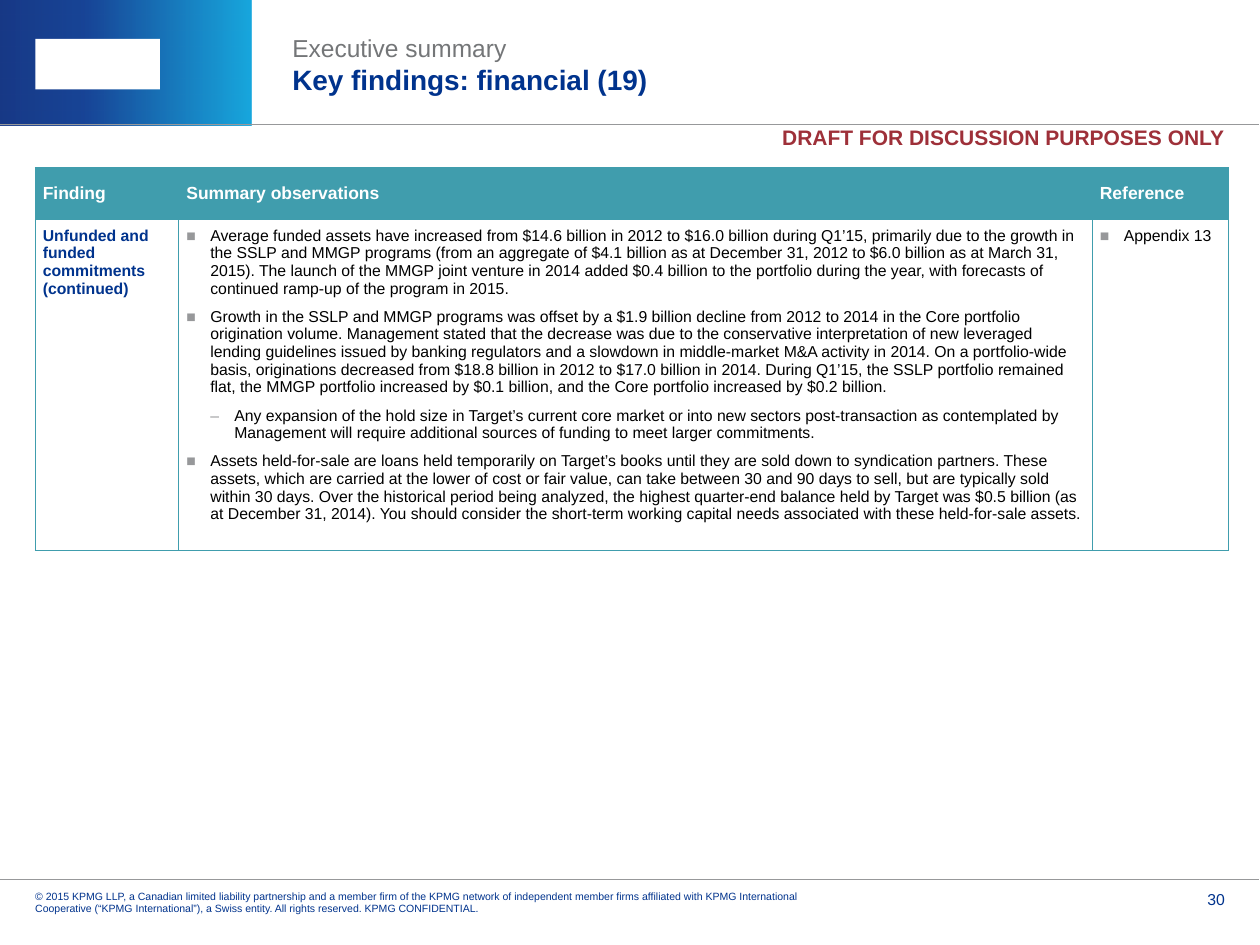
from lxml.etree import SubElement
from pptx import Presentation
from pptx.dml.color import RGBColor
from pptx.enum.shapes import MSO_CONNECTOR as Connector, MSO_SHAPE as Shape
from pptx.enum.text import MSO_ANCHOR as Anchor, PP_ALIGN as Align
from pptx.oxml import parse_xml
from pptx.oxml.ns import nsdecls, qn
from pptx.util import Inches, Pt

NAVY = RGBColor(0x00, 0x33, 0x8D)
DEEP_NAVY = RGBColor(0x00, 0x25, 0x7A)
SKY = RGBColor(0x00, 0x9F, 0xDA)
TEAL = RGBColor(0x40, 0x9D, 0xAD)
GRAY = RGBColor(0x97, 0x98, 0x9A)
DARK_GRAY = RGBColor(0x74, 0x76, 0x78)
RED = RGBColor(0x9E, 0x30, 0x39)
BLACK = RGBColor(0x00, 0x00, 0x00)
WHITE = RGBColor(0xFF, 0xFF, 0xFF)

SECTION_FORMAT = {"size": Pt(14), "color": DARK_GRAY}
TITLE_FORMAT = {"size": Pt(16), "color": NAVY, "bold": True}
DRAFT_FORMAT = {"size": Pt(12), "color": RED, "bold": True}
COPYRIGHT_FORMAT = {"size": Pt(6), "color": NAVY}
NUMBER_FORMAT = {"size": Pt(9), "color": NAVY}
HEADER_FORMAT = {"size": Pt(10), "color": WHITE, "bold": True}
FINDING_FORMAT = {"size": Pt(9), "color": NAVY, "bold": True}
BODY_FORMAT = {"size": Pt(9), "color": BLACK, "bold": False}

HEADER_HEIGHT = 0.99
FOOTER_TOP = 6.98
INDENT = 0.19
SQUARE, DASH = "■", "‒"
COLUMN_WIDTHS = (1.14, 7.25, 1.08)
ROW_HEIGHTS = (0.41, 2.47)
HEADINGS = ("Finding", "Summary observations", "Reference")
FINDING = "Unfunded and funded commitments (continued)"
OBSERVATIONS = [
    (SQUARE, "Average funded assets have increased from $14.6 billion in 2012 to $16.0 billion during Q1’15, primarily due to the growth in the SSLP and MMGP programs (from an aggregate of $4.1 billion as at December 31, 2012 to $6.0 billion as at March 31, 2015). The launch of the MMGP joint venture in 2014 added $0.4 billion to the portfolio during the year, with forecasts of continued ramp-up of the program in 2015."),
    (SQUARE, "Growth in the SSLP and MMGP programs was offset by a $1.9 billion decline from 2012 to 2014 in the Core portfolio origination volume. Management stated that the decrease was due to the conservative interpretation of new leveraged lending guidelines issued by banking regulators and a slowdown in middle-market M&A activity in 2014. On a portfolio-wide basis, originations decreased from $18.8 billion in 2012 to $17.0 billion in 2014. During Q1’15, the SSLP portfolio remained flat, the MMGP portfolio increased by $0.1 billion, and the Core portfolio increased by $0.2 billion."),
    (DASH, "Any expansion of the hold size in Target’s current core market or into new sectors post-transaction as contemplated by Management will require additional sources of funding to meet larger commitments."),
    (SQUARE, "Assets held-for-sale are loans held temporarily on Target’s books until they are sold down to syndication partners. These assets, which are carried at the lower of cost or fair value, can take between 30 and 90 days to sell, but are typically sold within 30 days. Over the historical period being analyzed, the highest quarter-end balance held by Target was $0.5 billion (as at December 31, 2014). You should consider the short-term working capital needs associated with these held-for-sale assets."),
]
REFERENCES = [(SQUARE, "Appendix 13")]
COPYRIGHT = "© 2015 KPMG LLP, a Canadian limited liability partnership and a member firm of the KPMG network of independent member firms affiliated with KPMG International Cooperative (“KPMG International”), a Swiss entity. All rights reserved. KPMG CONFIDENTIAL."


def add_span(para, text, formats):
    span = para.add_run()
    span.text = text
    span.font.name = "Arial"
    for name, value in formats.items():
        if name == "color":
            span.font.color.rgb = value
        else:
            setattr(span.font, name, value)


def add_text(page, place, spans, top_inset=0, anchor=Anchor.TOP, **para_formats):
    box = page.shapes.add_textbox(*map(Inches, place))
    frame = box.text_frame
    settings = {
        "word_wrap": True, "vertical_anchor": anchor,
        "margin_left": 0, "margin_right": 0,
        "margin_top": Inches(top_inset), "margin_bottom": 0,
    }
    for name, value in settings.items():
        setattr(frame, name, value)
    para = frame.paragraphs[0]
    for name, value in para_formats.items():
        setattr(para, name, value)
    for index, (text, formats) in enumerate(spans):
        if index:
            para.add_line_break()
        add_span(para, text, formats)


def add_band(page):
    builder = page.shapes.build_freeform(0, 0, scale=Inches(1))
    builder.add_line_segments([(0, HEADER_HEIGHT), (2.01, HEADER_HEIGHT), (2.3, 0)])
    band = builder.convert_to_shape()
    band.shadow.inherit = False
    band.line.fill.background()
    band.fill.gradient()
    band.fill.gradient_angle = 0
    stops = band.element.spPr.find(".//" + qn("a:gsLst"))
    for stop in list(stops):
        stops.remove(stop)
    for position, color in ((0, DEEP_NAVY), (35, NAVY), (100, SKY)):
        stop = SubElement(stops, qn("a:gs"), pos=str(position * 1000))
        shade = SubElement(stop, qn("a:srgbClr"), val=str(color))
        SubElement(shade, qn("a:alpha"), val="90000")


def add_emblem(page):
    emblem = page.shapes.add_shape(
        Shape.RECTANGLE, *map(Inches, (0.28, 0.31, 0.99, 0.4)))
    emblem.shadow.inherit = False
    emblem.fill.solid()
    emblem.fill.fore_color.rgb = WHITE
    emblem.line.fill.background()


def add_rule(page, top):
    rule = page.shapes.add_connector(
        Connector.STRAIGHT, 0, Inches(top), Inches(9.99), Inches(top))
    rule.line.color.rgb = GRAY
    rule.line.width = Pt(0.5)
    SubElement(rule.element.spPr, qn("a:effectLst"))


def style_cell(cell, color, anchor):
    properties = cell._tc.get_or_add_tcPr()
    for side in "LRTB":
        properties.append(parse_xml(
            f'<a:ln{side} {nsdecls("a")} w="{Pt(0.5)}"><a:solidFill>'
            f'<a:srgbClr val="{TEAL}"/></a:solidFill></a:ln{side}>'))
    cell.fill.solid()
    cell.fill.fore_color.rgb = color
    cell.vertical_anchor = anchor
    for side in ("left", "right", "top", "bottom"):
        setattr(cell, f"margin_{side}", Inches(0.06))


def add_bullet(para, mark):
    properties = para._p.get_or_add_pPr()
    left = INDENT * (2 if mark == DASH else 1)
    properties.set("marL", str(Inches(left)))
    properties.set("indent", str(Inches(-INDENT)))
    color = SubElement(properties, qn("a:buClr"))
    SubElement(color, qn("a:srgbClr"), val=str(GRAY))
    SubElement(properties, qn("a:buFont"), typeface="Arial")
    SubElement(properties, qn("a:buChar"), char=mark)


def fill_bullets(cell, items):
    frame = cell.text_frame
    for index, (mark, text) in enumerate(items):
        para = frame.add_paragraph() if index else frame.paragraphs[0]
        add_bullet(para, mark)
        if index:
            para.space_before = Pt(6)
        add_span(para, text, BODY_FORMAT)


def add_findings(page):
    table = page.shapes.add_table(
        2, 3, Inches(0.28), Inches(1.33),
        Inches(sum(COLUMN_WIDTHS)), Inches(sum(ROW_HEIGHTS))).table
    table.horz_banding = False
    for column, width in zip(table.columns, COLUMN_WIDTHS):
        column.width = Inches(width)
    for row, height in zip(table.rows, ROW_HEIGHTS):
        row.height = Inches(height)
    for index, heading in enumerate(HEADINGS):
        header = table.cell(0, index)
        style_cell(header, TEAL, Anchor.MIDDLE)
        add_span(header.text_frame.paragraphs[0], heading, HEADER_FORMAT)
        style_cell(table.cell(1, index), WHITE, Anchor.TOP)
    add_span(table.cell(1, 0).text_frame.paragraphs[0], FINDING, FINDING_FORMAT)
    fill_bullets(table.cell(1, 1), OBSERVATIONS)
    fill_bullets(table.cell(1, 2), REFERENCES)


def main():
    deck = Presentation()
    deck.slide_width, deck.slide_height = Inches(10), Inches(7.5)
    page = deck.slides.add_slide(deck.slide_layouts[6])
    add_band(page)
    add_text(page, (0.28, FOOTER_TOP, 6.3, 0.28),
             [(COPYRIGHT, COPYRIGHT_FORMAT)], top_inset=0.08)
    add_text(page, (9.17, FOOTER_TOP, 0.55, 0.31),
             [("30", NUMBER_FORMAT)], top_inset=0.08, alignment=Align.RIGHT)
    add_emblem(page)
    add_text(page, (6.1, HEADER_HEIGHT, 3.62, 0.32),
             [("DRAFT FOR DISCUSSION PURPOSES ONLY", DRAFT_FORMAT)],
             top_inset=0.04, alignment=Align.RIGHT, line_spacing=0.8)
    for top in (FOOTER_TOP, HEADER_HEIGHT):
        add_rule(page, top)
    add_findings(page)
    add_text(page, (2.32, 0.13, 7.4, 0.63),
             [("Executive summary", SECTION_FORMAT),
              ("Key findings: financial (19)", TITLE_FORMAT)],
             anchor=Anchor.BOTTOM)
    deck.save("out.pptx")


if __name__ == "__main__":
    main()
